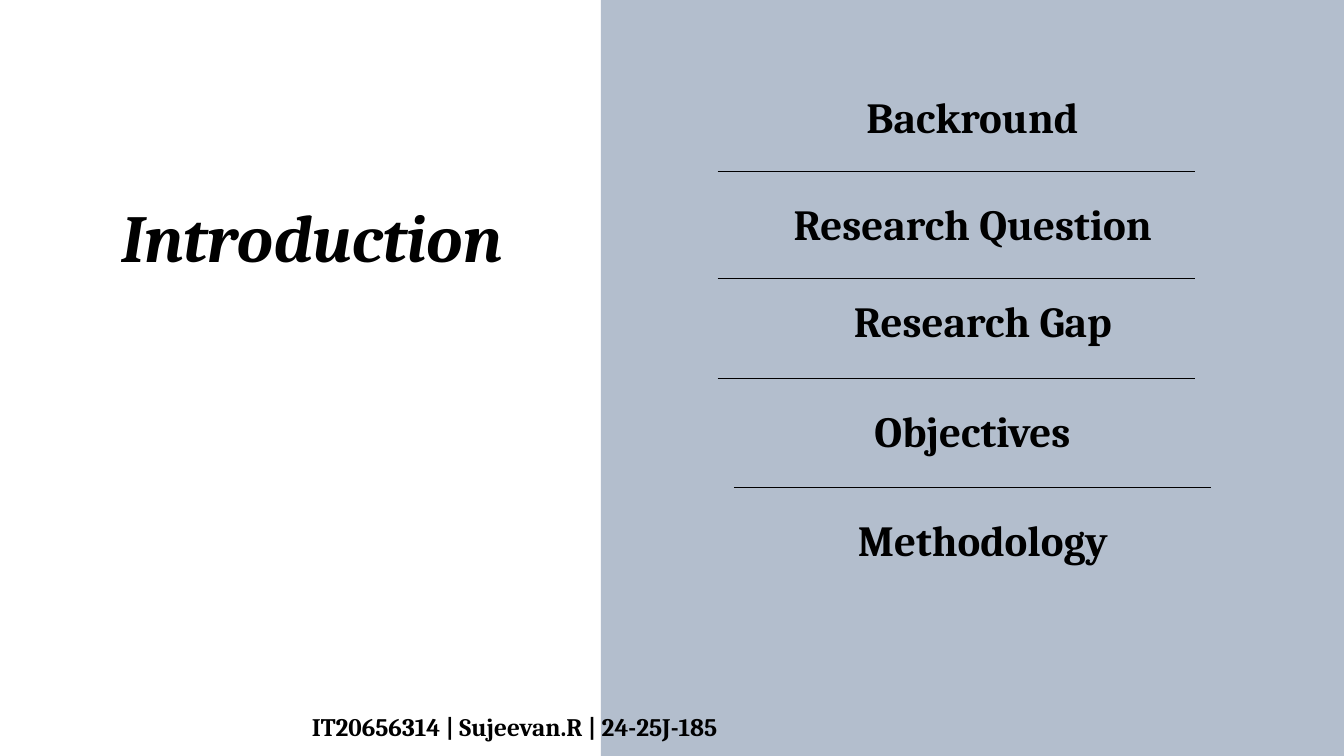
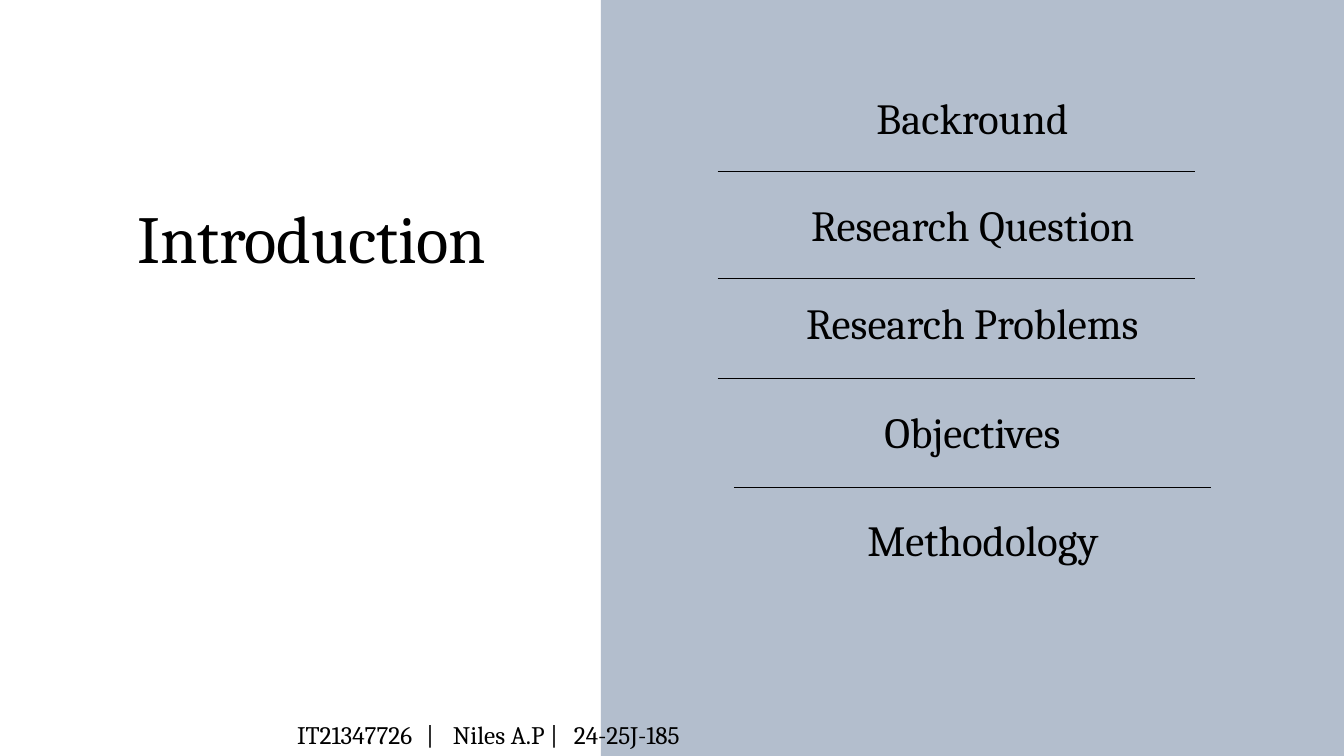
from dataclasses import dataclass
from lxml import etree
from pptx import Presentation
from pptx.dml.color import RGBColor
from pptx.enum import shapes, text
from pptx.oxml.ns import qn
from pptx.util import Inches, Pt


@dataclass(frozen=True)
class Theme:
    font: str = "Cambria"
    ink: RGBColor = RGBColor(0x00, 0x00, 0x00)
    panel: RGBColor = RGBColor(0xB3, 0xBE, 0xCD)
    title: int = 72
    topic: int = 46
    footer: int = 27
    leading: float = 1.2
    rule: float = 0.75


THEME = Theme()
PANEL = (8.94, 0, 11.06, 11.25)
RULES = [(1.74, 2.55), (1.74, 4.14), (1.74, 5.63), (1.98, 7.25)]
RULE_WIDTH = 7.1

DECK = [
    {
        "bold": True,
        "title": (1.43, 2.9, 6.42, 1.23),
        "topics": [
            ("Backround", 3.62, 1.35, 3.82),
            ("Research Question", 2.57, 2.94, 5.93),
            ("Research Gap", 3.11, 4.39, 5.15),
            ("Objectives", 3.62, 6.02, 3.82),
            ("Methodology", 3.38, 7.64, 4.61),
        ],
        "footer": ("IT20656314 | Sujeevan.R | 24-25J-185", (4.64, 10.58, 7.38, 0.49), []),
    },
    {
        "bold": False,
        "title": (1.43, 2.92, 6.42, 1.21),
        "topics": [
            ("Backround", 3.62, 1.36, 3.82),
            ("Research Question", 2.57, 2.95, 5.93),
            ("Research Problems", 2.35, 4.42, 6.36),
            ("Objectives", 3.62, 6.03, 3.82),
            ("Methodology", 3.38, 7.65, 4.61),
        ],
        "footer": (
            "IT21347726\t|\tNiles A.P |\t24-25J-185",
            (4.42, 10.71, 10.99, 0.45),
            [1.92, 2.32, 4.12],
        ),
    },
]


def add_text(slide, words, box, size, bold, align=text.PP_ALIGN.CENTER, stops=()):
    frame = slide.shapes.add_textbox(*map(Inches, box)).text_frame
    frame.margin_left = frame.margin_right = frame.margin_top = frame.margin_bottom = 0
    frame.word_wrap = True
    frame.auto_size = text.MSO_AUTO_SIZE.SHAPE_TO_FIT_TEXT
    frame.text = words
    para = frame.paragraphs[0]
    para.alignment = align
    para.line_spacing = Pt(size * THEME.leading)
    if stops:
        tabs = etree.SubElement(para._p.get_or_add_pPr(), qn("a:tabLst"))
        for stop in stops:
            etree.SubElement(tabs, qn("a:tab"), pos=str(Inches(stop)), algn="l")
    for run in para.runs:
        run.font.name = THEME.font
        run.font.size = Pt(size)
        run.font.bold = bold
        run.font.color.rgb = THEME.ink
    return para


def add_title(slide, box, bold):
    para = add_text(slide, "Introduction", box, THEME.title, bold)
    font = para.runs[0].font
    font.italic = bold
    font._element.set("spc", "-10")


def add_rule(slide, left, top):
    ends = map(Inches, (left, top, left + RULE_WIDTH, top))
    line = slide.shapes.add_connector(shapes.MSO_CONNECTOR.STRAIGHT, *ends)
    line.line.color.rgb = THEME.ink
    line.line.width = Pt(THEME.rule)
    etree.SubElement(line._element.spPr, qn("a:effectLst"))


def add_panel(slide, box, topics, bold):
    left, top, _, _ = box
    panel = slide.shapes.add_shape(shapes.MSO_SHAPE.RECTANGLE, *map(Inches, box))
    panel.shadow.inherit = False
    panel.fill.solid()
    panel.fill.fore_color.rgb = THEME.panel
    panel.line.fill.background()
    for words, x, y, width in topics:
        add_text(slide, words, (left + x, top + y, width, 0.77), THEME.topic, bold)
    for x, y in RULES:
        add_rule(slide, left + x, top + y)


def add_footer(slide, words, box, stops, bold):
    add_text(slide, words, box, THEME.footer, bold, text.PP_ALIGN.LEFT, stops)


def main():
    deck = Presentation()
    deck.slide_width, deck.slide_height = Inches(20), Inches(11.25)
    for page in DECK:
        slide = deck.slides.add_slide(deck.slide_layouts[6])
        bold = page["bold"]
        add_panel(slide, PANEL, page["topics"], bold)
        add_title(slide, page["title"], bold)
        add_footer(slide, *page["footer"], bold)
    deck.save("out.pptx")


if __name__ == "__main__":
    main()
